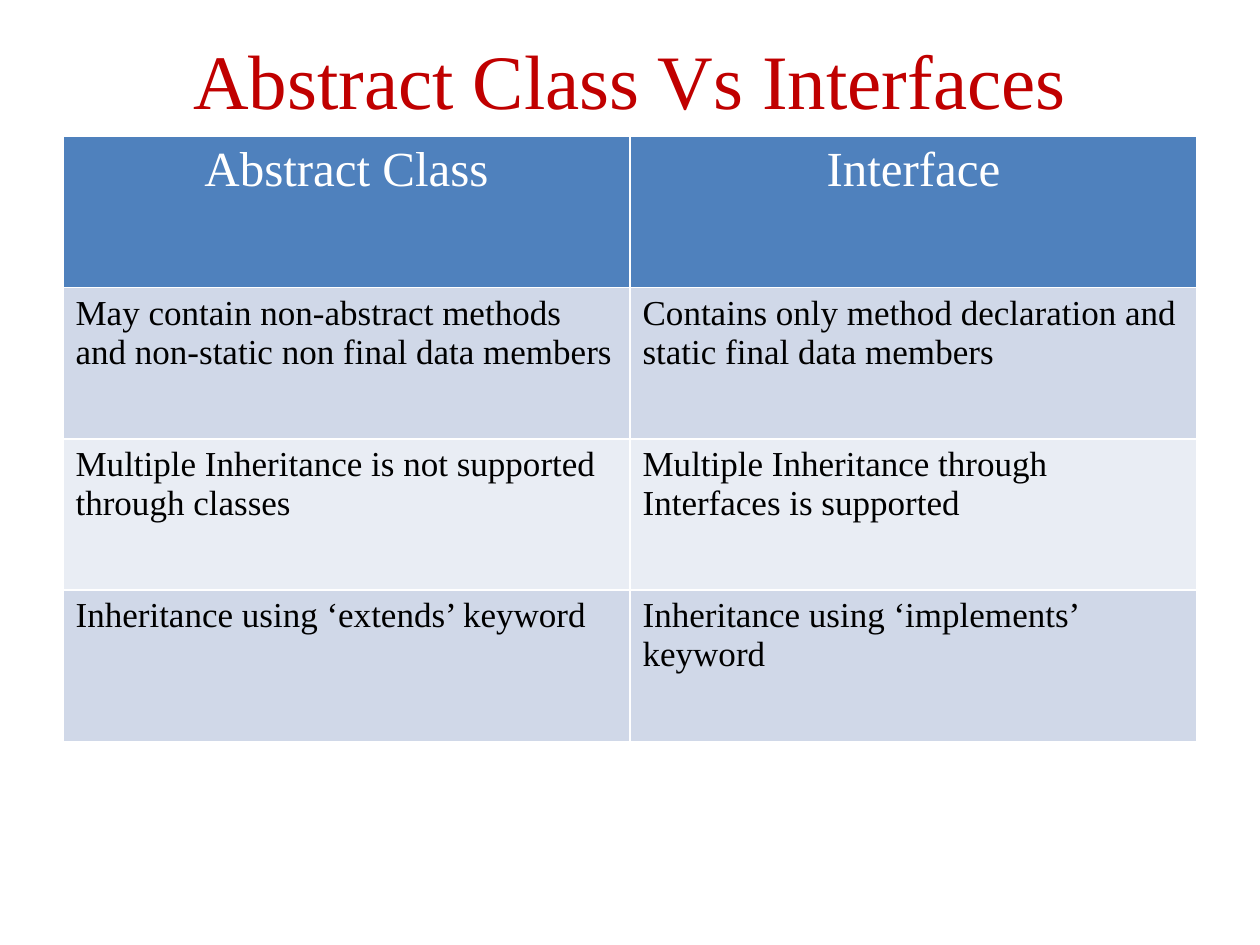
from dataclasses import dataclass

from pptx import Presentation
from pptx.dml.color import RGBColor
from pptx.enum.text import MSO_ANCHOR, PP_ALIGN
from pptx.util import Pt


@dataclass(frozen=True)
class Theme:
    font: str = "Times New Roman"
    title_size: int = 44
    header_size: int = 28
    body_size: int = 20
    title_color: str = "C00000"
    header_color: str = "FFFFFF"
    body_color: str = "000000"
    header_fill: str = "4F81BD"
    band_fills: tuple = ("D0D8E8", "E9EDF4")


class SlideBuilder:
    def __init__(self, slide, theme):
        self.slide = slide
        self.theme = theme

    def format_paragraph(self, paragraph, size, color, align):
        paragraph.alignment = align
        font = paragraph.font
        font.name = self.theme.font
        font.size = Pt(size)
        font.bold = False
        font.color.rgb = RGBColor.from_string(color)

    def title(self, text, left, top, width, height):
        heading = self.slide.shapes.title
        heading.left, heading.top = Pt(left), Pt(top)
        heading.width, heading.height = Pt(width), Pt(height)
        frame = heading.text_frame
        frame.text = text
        frame.vertical_anchor = MSO_ANCHOR.MIDDLE
        self.format_paragraph(frame.paragraphs[0], self.theme.title_size,
                              self.theme.title_color, PP_ALIGN.CENTER)

    def table(self, rows, left, top, width, row_height):
        """Add a table with a header row; its style draws the white borders."""
        theme = self.theme
        grid = self.slide.shapes.add_table(
            len(rows), len(rows[0]), Pt(left), Pt(top),
            Pt(width), Pt(row_height * len(rows))).table
        for row_index, texts in enumerate(rows):
            if row_index == 0:
                fill = theme.header_fill
                style = theme.header_size, theme.header_color, PP_ALIGN.CENTER
            else:
                fill = theme.band_fills[(row_index - 1) % 2]
                style = theme.body_size, theme.body_color, PP_ALIGN.LEFT
            for column_index, text in enumerate(texts):
                cell = grid.cell(row_index, column_index)
                cell.text = text
                cell.fill.solid()
                cell.fill.fore_color.rgb = RGBColor.from_string(fill)
                self.format_paragraph(cell.text_frame.paragraphs[0], *style)


COMPARISON = [
    ("Abstract Class", "Interface"),
    ("May contain non-abstract methods and non-static non final data members",
     "Contains only method declaration and static final data members"),
    ("Multiple Inheritance is not supported through classes",
     "Multiple Inheritance through Interfaces is supported"),
    ("Inheritance using ‘extends’ keyword",
     "Inheritance using ‘implements’ keyword"),
]


def main():
    presentation = Presentation()
    presentation.slide_width, presentation.slide_height = Pt(720), Pt(540)
    title_only = presentation.slide_layouts[5]
    builder = SlideBuilder(presentation.slides.add_slide(title_only), Theme())
    builder.title("Abstract Class Vs Interfaces", 36, 0, 648, 90)
    builder.table(COMPARISON, left=36, top=78, width=648, row_height=86.4)
    presentation.save("out.pptx")


if __name__ == "__main__":
    main()
